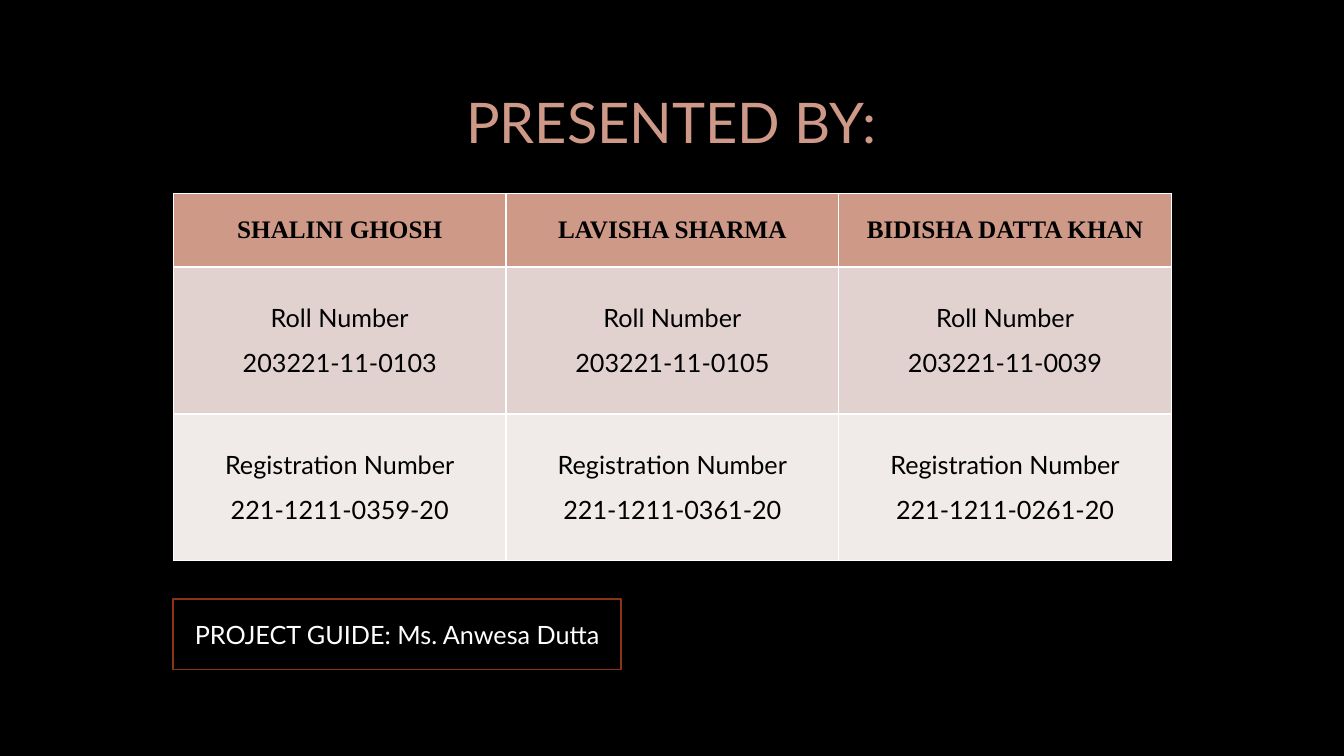
from lxml import etree
from pptx import Presentation
from pptx.dml.color import RGBColor
from pptx.enum.shapes import MSO_SHAPE
from pptx.enum.text import MSO_ANCHOR, MSO_AUTO_SIZE, PP_ALIGN
from pptx.oxml.ns import qn
from pptx.util import Cm, Pt

CENTER = PP_ALIGN.CENTER
MIDDLE = MSO_ANCHOR.MIDDLE
NO_AUTOFIT = MSO_AUTO_SIZE.NONE
RECTANGLE = MSO_SHAPE.RECTANGLE

BLACK = RGBColor(0x00, 0x00, 0x00)
WHITE = RGBColor(0xFF, 0xFF, 0xFF)
SALMON = RGBColor(0xCF, 0x99, 0x88)
ROSE = RGBColor(0xE1, 0xD2, 0xCF)
PALE_ROSE = RGBColor(0xF0, 0xEA, 0xE9)
RUST = RGBColor(0x8B, 0x33, 0x14)

BODY_FONT = "Lato"
HEADER_FONT = "Times New Roman"

STUDENTS = [
    ("SHALINI GHOSH", "203221-11-0103", "221-1211-0359-20"),
    ("LAVISHA SHARMA", "203221-11-0105", "221-1211-0361-20"),
    ("BIDISHA DATTA KHAN", "203221-11-0039", "221-1211-0261-20"),
]
ROW_LABELS = [None, "Roll Number", "Registration Number"]
ROW_FILLS = [SALMON, ROSE, PALE_ROSE]
ROW_SHARES = [1, 2, 2]


def format_paragraph(p, size, color, font=BODY_FONT, bold=False):
    p.alignment = CENTER
    p.font.name = font
    p.font.size = Pt(size)
    p.font.bold = bold
    p.font.color.rgb = color


def set_borders(cell, color, width):
    tcPr = cell._tc.get_or_add_tcPr()
    for i, side in enumerate(("a:lnL", "a:lnR", "a:lnT", "a:lnB")):
        ln = etree.Element(qn(side), w=str(Pt(width)))
        fill = etree.SubElement(ln, qn("a:solidFill"))
        etree.SubElement(fill, qn("a:srgbClr"), val=str(color))
        tcPr.insert(i, ln)


def add_title(slide, left, top, width, height):
    title = slide.shapes.title
    title.left, title.top, title.width, title.height = left, top, width, height
    tf = title.text_frame
    tf.auto_size = NO_AUTOFIT
    tf.vertical_anchor = MIDDLE
    tf.text = "PRESENTED BY:"
    format_paragraph(tf.paragraphs[0], 40, SALMON)


def fill_cell(cell, label, value, fill):
    cell.fill.solid()
    cell.fill.fore_color.rgb = fill
    cell.vertical_anchor = MIDDLE
    set_borders(cell, WHITE, 1)
    tf = cell.text_frame
    if label is None:
        tf.text = value
        format_paragraph(tf.paragraphs[0], 18, BLACK, HEADER_FONT, True)
        return
    tf.text = f"{label}\n{value}"
    for p in tf.paragraphs:
        format_paragraph(p, 18, BLACK)
    tf.paragraphs[0].space_after = Pt(10.5)


def add_student_table(slide, left, top, width, height):
    table = slide.shapes.add_table(
        len(ROW_LABELS), len(STUDENTS), left, top, width, height
    ).table
    for row, share in zip(table.rows, ROW_SHARES):
        row.height = height * share // sum(ROW_SHARES)
    for c, student in enumerate(STUDENTS):
        table.columns[c].width = width // len(STUDENTS)
        for r, value in enumerate(student):
            fill_cell(table.cell(r, c), ROW_LABELS[r], value, ROW_FILLS[r])


def add_guide_box(slide, left, top, width, height):
    sp = slide.shapes.add_shape(RECTANGLE, left, top, width, height)
    sp.shadow.inherit = False
    sp.fill.background()
    sp.line.color.rgb = RUST
    sp.line.width = Pt(1.25)
    tf = sp.text_frame
    tf.word_wrap = True
    tf.vertical_anchor = MIDDLE
    tf.text = "PROJECT GUIDE: Ms. Anwesa Dutta"
    format_paragraph(tf.paragraphs[0], 18, WHITE)


def main():
    prs = Presentation()
    prs.slide_width, prs.slide_height = Cm(33.87), Cm(19.05)
    slide = prs.slides.add_slide(prs.slide_layouts[5])
    slide.background.fill.solid()
    slide.background.fill.fore_color.rgb = BLACK
    left = Cm(4.37)
    add_title(slide, Cm(2.54), Cm(1.7), Cm(28.75), Cm(2.69))
    add_student_table(slide, left, Cm(4.88), Cm(25.15), Cm(9.25))
    add_guide_box(slide, left, Cm(15.09), Cm(11.28), Cm(1.78))
    prs.save("out.pptx")


if __name__ == "__main__":
    main()
